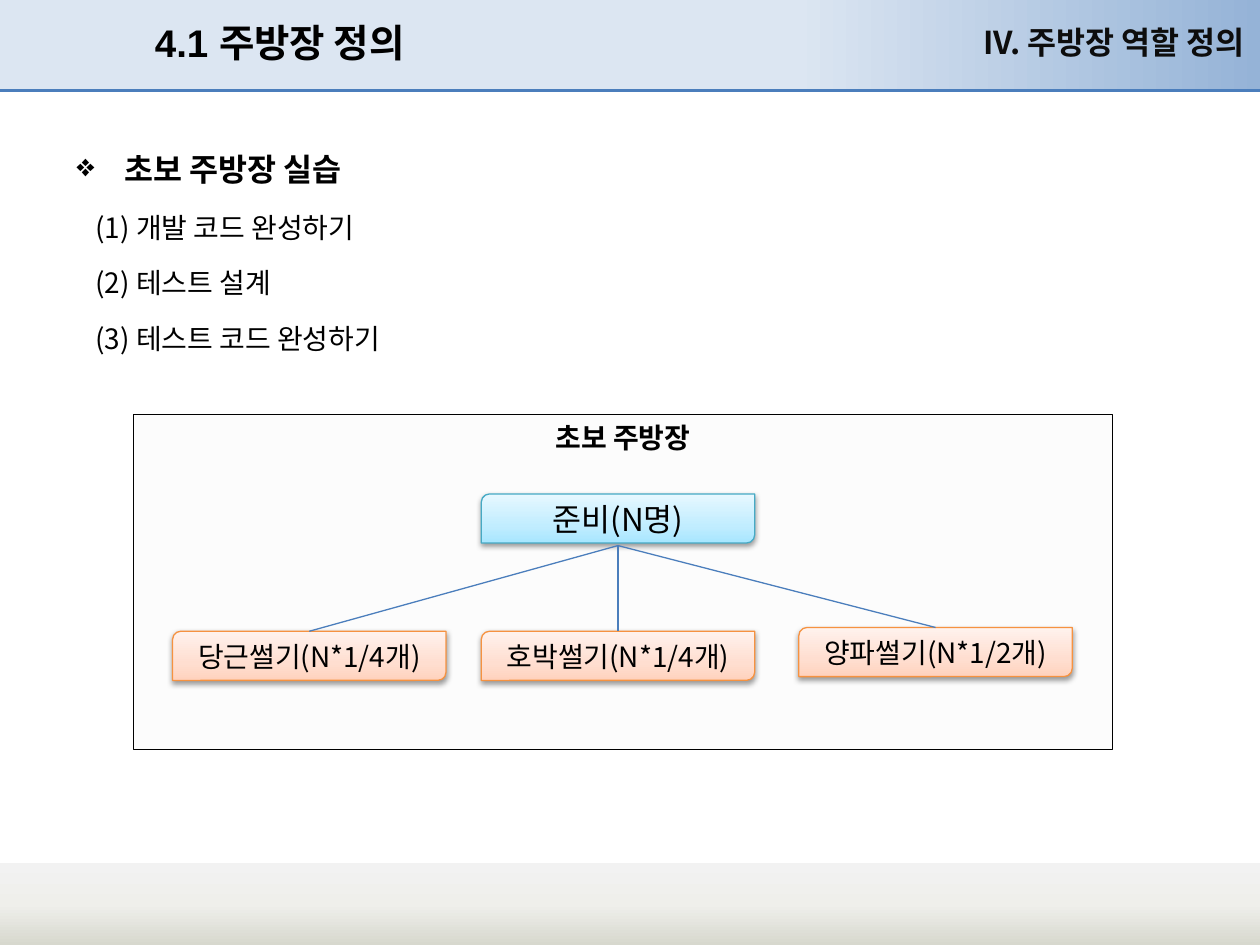
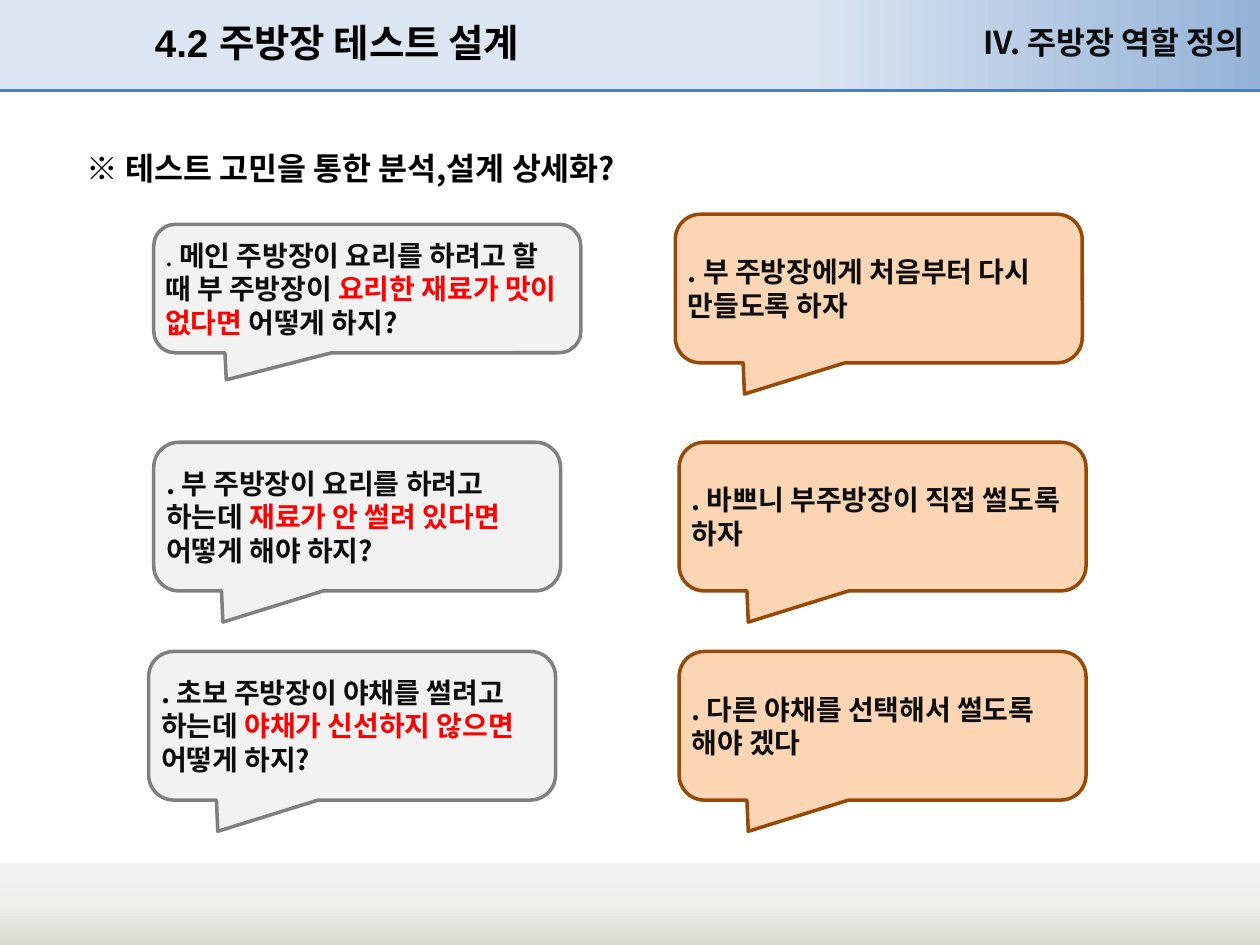
"""Build two slides that define and test the kitchen chef roles."""
from dataclasses import dataclass

from lxml.etree import SubElement
from pptx import Presentation
from pptx.dml.color import RGBColor
from pptx.enum.shapes import MSO_CONNECTOR, MSO_SHAPE
from pptx.enum.text import MSO_ANCHOR, PP_ALIGN
from pptx.oxml.ns import qn
from pptx.util import Inches, Pt

COLS, ROWS = 100, 75
CELL = Inches(0.1)


@dataclass(frozen=True)
class Theme:
    """Colours, fonts and type sizes shared by the slides."""
    font: str = "Noto Sans CJK KR"
    title_font: str = "Arial"
    title: int = 22
    head: int = 18
    body: int = 16
    black: str = "000000"
    ink: str = "0D0D0D"
    alert: str = "FF0000"
    rule: str = "4B7EBC"
    panel: str = "F2F2F2"
    top_band: tuple = ((0, "DCE6F2"), (63, "DCE6F2"), (100, "95B3D7"))
    foot_band: tuple = ((0, "F2F2F2"), (50, "EFEFEB"), (100, "D7D8CE"))
    root: tuple = ((0, "A7E6FF"), (35, "C1EDFF"), (100, "E7F8FF"))
    root_line: str = "46AAC5"
    task: tuple = ((0, "FFD2BD"), (35, "FFDED0"), (100, "FFF2ED"))
    task_line: str = "F69240"
    worry: tuple = ("F2F2F2", "808080")
    answer: tuple = ("FCD5B5", "984807")


T = Theme()


def grid(*cells):
    """Turn grid columns and rows into lengths."""
    return [round(c * CELL) for c in cells]


def add_run(p, text, size, color=T.black, bold=False, font=T.font):
    """Add one formatted run."""
    r = p.add_run()
    r.text = text
    r.font.size, r.font.bold, r.font.name = Pt(size), bold, font
    r.font.color.rgb = RGBColor.from_string(color)
    SubElement(r.font._element, qn("a:ea"), typeface=T.font)


def set_margins(tf, side, edge):
    """Set the side and the top and bottom margins in grid cells."""
    tf.margin_left = tf.margin_right = grid(side)[0]
    tf.margin_top = tf.margin_bottom = grid(edge)[0]


def set_gradient(sp, stops, angle):
    """Fill a shape with a gradient, the angle running clockwise."""
    sp.fill.gradient()
    grad = sp.element.spPr.find(qn("a:gradFill"))
    gs_lst = grad.find(qn("a:gsLst"))
    for gs in list(gs_lst):
        gs_lst.remove(gs)
    for pos, color in stops:
        gs = SubElement(gs_lst, qn("a:gs"), pos=str(pos * 1000))
        SubElement(gs, qn("a:srgbClr"), val=color)
    grad.find(qn("a:lin")).set("ang", str(angle * 60000))


def add_shadow(sp):
    """Cast a soft shadow straight down."""
    effects = sp.element.spPr.find(qn("a:effectLst"))
    shadow = SubElement(effects, qn("a:outerShdw"), blurRad=str(Pt(3.1)),
                        dist=str(Pt(1.6)), dir="5400000", rotWithShape="0")
    color = SubElement(shadow, qn("a:srgbClr"), val=T.black)
    SubElement(color, qn("a:alpha"), val="38000")


def add_box(s, kind, at, fill, line=None, width=0.75):
    """Add a shape with a plain fill or a (stops, angle) gradient."""
    sp = s.shapes.add_shape(kind, *grid(*at))
    sp.shadow.inherit = False
    if isinstance(fill, str):
        sp.fill.solid()
        sp.fill.fore_color.rgb = RGBColor.from_string(fill)
    else:
        set_gradient(sp, *fill)
    if line:
        sp.line.color.rgb = RGBColor.from_string(line)
        sp.line.width = Pt(width)
    else:
        sp.line.fill.background()
    return sp


def add_line(s, start, end, width):
    """Draw a straight rule between two points."""
    c = s.shapes.add_connector(MSO_CONNECTOR.STRAIGHT, *start, *end)
    c.line.color.rgb = RGBColor.from_string(T.rule)
    c.line.width = Pt(width)
    SubElement(c.element.spPr, qn("a:effectLst"))


def add_text_frame(s, at):
    """Add a wrapping text box and return its frame."""
    tf = s.shapes.add_textbox(*grid(*at)).text_frame
    tf.word_wrap = True
    return tf


def add_slide(prs, title):
    """Add a slide with its bands, title and chapter name."""
    s = prs.slides.add_slide(prs.slide_layouts[5])
    add_box(s, MSO_SHAPE.RECTANGLE, (0, -0.1, COLS, 7.3), (T.top_band, 0))
    add_box(s, MSO_SHAPE.RECTANGLE, (0, 68.5, COLS, 6.5), (T.foot_band, 90))
    add_line(s, grid(0, 7.2), grid(COLS, 7.2), 2)
    sp = s.shapes.title
    sp.element.getparent().append(sp.element)
    sp.left, sp.top, sp.width, sp.height = grid(11.3, 0.5, 59.1, 5.7)
    sp.text_frame.vertical_anchor = MSO_ANCHOR.MIDDLE
    p = sp.text_frame.paragraphs[0]
    p.alignment = PP_ALIGN.LEFT
    add_run(p, title, T.title, bold=True, font=T.title_font)
    tf = add_text_frame(s, (68.1, 1.3, 30.7, 3.9))
    set_margins(tf, 0, 0.5)
    p = tf.paragraphs[0]
    p.alignment = PP_ALIGN.RIGHT
    add_run(p, "IV. 주방장 역할 정의", T.head, T.ink, True)
    return s


def add_body(s, at, heading, items=(), bullet=None):
    """Add a bold heading and the indented items below it."""
    tf = add_text_frame(s, at)
    p = tf.paragraphs[0]
    if bullet:
        ppr = p._p.get_or_add_pPr()
        ppr.set("marL", str(Inches(0.38)))
        ppr.set("indent", str(-Inches(0.38)))
        SubElement(ppr, qn("a:buChar"), char=bullet)
    p.line_spacing = 1.5
    add_run(p, heading, T.head, bold=True)
    for item in items:
        p = tf.add_paragraph()
        p._p.get_or_add_pPr().set("marL", str(Inches(0.15)))
        p.line_spacing, p.space_before = 1.5, Pt(3.2)
        add_run(p, item, T.body)


def add_panel(s, at, label):
    """Add the translucent frame with its label at the top."""
    sp = add_box(s, MSO_SHAPE.RECTANGLE, at, T.panel, T.black)
    color = sp.element.spPr.find(qn("a:solidFill")).find(qn("a:srgbClr"))
    SubElement(color, qn("a:alpha"), val="20000")
    sp.text_frame.vertical_anchor = MSO_ANCHOR.TOP
    p = sp.text_frame.paragraphs[0]
    p.alignment = PP_ALIGN.CENTER
    add_run(p, label, T.body, bold=True)


def add_node(s, left, top, text, stops, line, size):
    """Add one box of the work tree."""
    sp = add_box(s, MSO_SHAPE.ROUND_2_DIAG_RECTANGLE,
                 (left, top, 21.7, 3.9), (stops, 270), line)
    add_shadow(sp)
    tf = sp.text_frame
    set_margins(tf, 0.4, 0.4)
    tf.vertical_anchor = MSO_ANCHOR.MIDDLE
    p = tf.paragraphs[0]
    p.alignment = PP_ALIGN.CENTER
    add_run(p, text, size)
    return sp


def add_tree(s, root, tasks):
    """Add the root box and join it to its tasks."""
    top = add_node(s, 38.2, 39.2, root, T.root, T.root_line, T.head)
    start = (top.left + top.width // 2, top.top + top.height + grid(0.2)[0])
    for left, y, text in tasks:
        sp = add_node(s, left, y, text, T.task, T.task_line, T.body)
        add_line(s, start, (sp.left + sp.width // 2, sp.top), 0.75)


def add_callout(s, left, top, runs, colors, size=(32.3, 11.8)):
    """Add a speech bubble from (text, colour, bold) runs."""
    sp = add_box(s, MSO_SHAPE.ROUNDED_RECTANGULAR_CALLOUT,
                 (left, top, *size), *colors, width=2)
    for i, value in enumerate((-0.33, 0.71, 0.17)):
        sp.adjustments[i] = value
    tf = sp.text_frame
    set_margins(tf, 0.4, 0.4)
    tf.vertical_anchor = MSO_ANCHOR.MIDDLE
    p = tf.paragraphs[0]
    p.alignment = PP_ALIGN.LEFT
    for text, color, bold in runs:
        add_run(p, text, T.body, color, bold)


def add_worry(s, left, top, before, risk, after, lead="", **kw):
    """Add a question bubble with its risk in the alert colour."""
    runs = [(before, T.ink, True), (risk, T.alert, True), (after, T.ink, True)]
    if lead:
        runs.insert(0, (lead, T.ink, False))
    add_callout(s, left, top, runs, T.worry, **kw)


def build_definition(prs):
    """Build the slide on the beginner chef's practice."""
    s = add_slide(prs, "4.1 주방장 정의")
    add_body(s, (5.1, 9.9, 92.1, 57.5), "초보 주방장 실습",
             ("(1) 개발 코드 완성하기", "(2) 테스트 설계", "(3) 테스트 코드 완성하기"), "❖")
    add_panel(s, (10.6, 32.9, 77.7, 26.6), "초보 주방장")
    add_tree(s, "준비(N명)", ((13.7, 50.1, "당근썰기(N*1/4개)"),
                            (38.2, 50.1, "호박썰기(N*1/4개)"),
                            (63.4, 49.8, "양파썰기(N*1/2개)")))


def build_test_design(prs):
    """Build the slide of worries and their answers."""
    s = add_slide(prs, "4.2 주방장 테스트 설계")
    add_body(s, (5.9, 9.8, 92.1, 58.4), "※ 테스트 고민을 통한 분석,설계 상세화?")
    add_worry(s, 12.2, 17.8, "메인 주방장이 요리를 하려고 할 때 부 주방장이 ",
              "요리한 재료가 맛이 없다면 ", "어떻게 하지?", lead=". ", size=(33.9, 10.2))
    add_worry(s, 12.2, 35.1, ". 부 주방장이 요리를 하려고 하는데 ",
              "재료가 안 썰려 있다면 ", "어떻게 해야 하지?")
    add_worry(s, 11.8, 51.7, ". 초보 주방장이 야채를 썰려고 하는데 ",
              "야채가 신선하지 않으면", " 어떻게 하지?")
    for left, top, text in ((53.6, 17, ". 부 주방장에게 처음부터 다시 만들도록 하자"),
                            (53.9, 35.1, ". 바쁘니 부주방장이 직접 썰도록 하자"),
                            (53.9, 51.7, ". 다른 야채를 선택해서 썰도록 해야 겠다")):
        add_callout(s, left, top, [(text, T.ink, True)], T.answer)


def main():
    """Build and save the presentation."""
    prs = Presentation()
    prs.slide_width, prs.slide_height = grid(COLS, ROWS)
    build_definition(prs)
    build_test_design(prs)
    prs.save("out.pptx")


if __name__ == "__main__":
    main()
